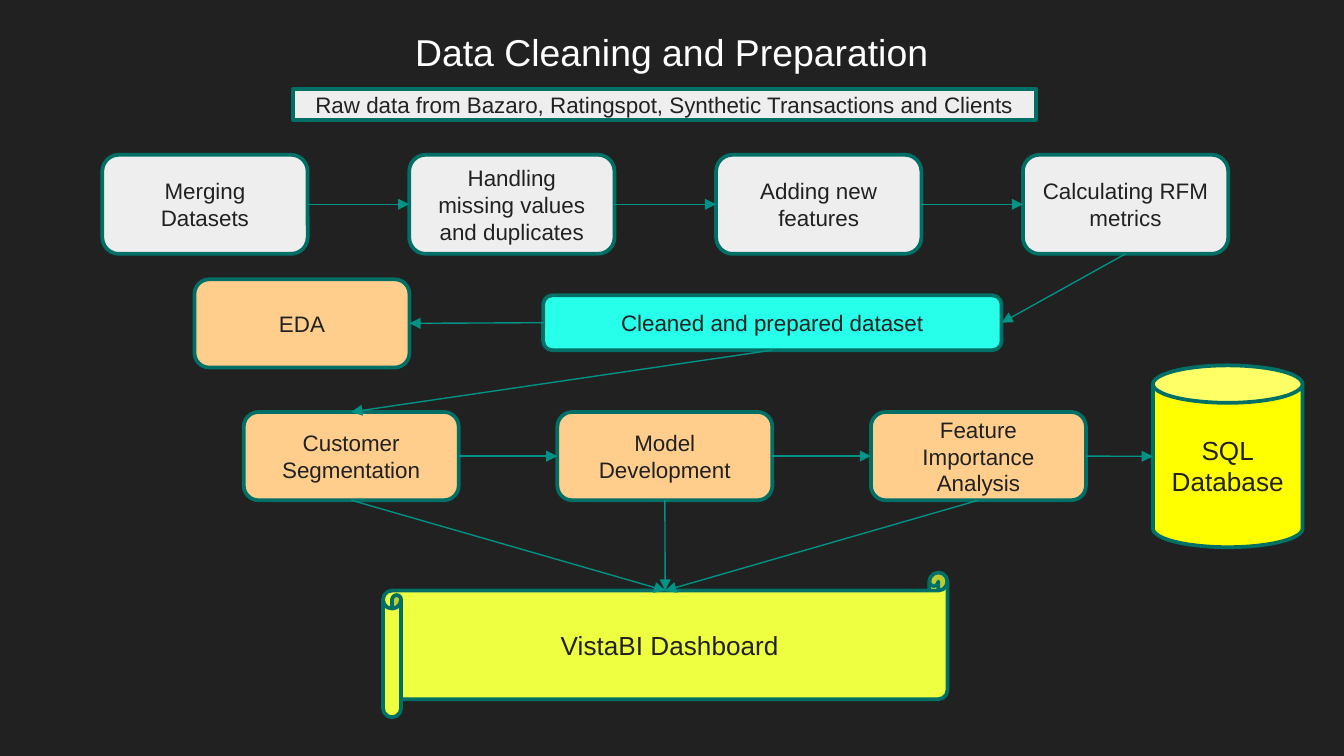
from lxml import etree
from pptx import Presentation
from pptx.dml.color import RGBColor
from pptx.enum.shapes import MSO_CONNECTOR, MSO_SHAPE
from pptx.enum.text import MSO_ANCHOR, PP_ALIGN
from pptx.oxml.ns import qn
from pptx.util import Pt

ROUNDED = MSO_SHAPE.ROUNDED_RECTANGLE
RECTANGLE = MSO_SHAPE.RECTANGLE
CAN = MSO_SHAPE.CAN
SCROLL = MSO_SHAPE.HORIZONTAL_SCROLL
STRAIGHT = MSO_CONNECTOR.STRAIGHT
CENTER = PP_ALIGN.CENTER
TOP, MIDDLE = MSO_ANCHOR.TOP, MSO_ANCHOR.MIDDLE

THEME = {
    "font": "Arial",
    "title_size": 20, "body_size": 12, "output_size": 14,
    "background": "212121", "title": "FFFFFF", "text": "212121",
    "outline": "006F65", "arrow": "009385",
    "input": "EEEEEE", "dataset": "27FFEB", "analysis": "FFCD8C",
    "database": "FFFF00", "dashboard": "EEFF41",
}

TITLE = "Data Cleaning and Preparation"
PREPARATION = [
    ("merge", "Merging\nDatasets"),
    ("clean", "Handling missing values and duplicates"),
    ("features", "Adding new features"),
    ("rfm", "Calculating RFM metrics"),
]
ANALYSIS = [
    ("segments", "Customer Segmentation"),
    ("model", "Model Development"),
    ("importance", "Feature Importance Analysis"),
]
SINGLES = [
    ("raw", "Raw data from Bazaro, Ratingspot, Synthetic Transactions and Clients",
     RECTANGLE, "input", "body_size", (157, 47.5, 398, 16.7)),
    ("dataset", "Cleaned and prepared dataset",
     ROUNDED, "dataset", "body_size", (291, 158.2, 245.6, 29.4)),
    ("eda", "EDA", ROUNDED, "analysis", "body_size", (104.2, 149.6, 115.2, 47.3)),
    ("database", "SQL\nDatabase", CAN, "database", "output_size", (617.6, 195.8, 80.2, 97.4)),
    ("dashboard", "VistaBI Dashboard",
     SCROLL, "dashboard", "output_size", (205.2, 306.7, 302.4, 77.6)),
]
ROWS = [
    (PREPARATION, "input", (54.8, 82.9, 110, 53.1), 164.4),
    (ANALYSIS, "analysis", (130.6, 220.7, 115.2, 47.3), 168),
]
ARROWS = [
    ("merge", "right", "clean", "left"),
    ("clean", "right", "features", "left"),
    ("features", "right", "rfm", "left"),
    ("rfm", "bottom", "dataset", "right"),
    ("dataset", "left", "eda", "right"),
    ("dataset", "bottom", "segments", "top"),
    ("segments", "right", "model", "left"),
    ("model", "right", "importance", "left"),
    ("importance", "right", "database", "left"),
    ("segments", "bottom", "dashboard", "top"),
    ("model", "bottom", "dashboard", "top"),
    ("importance", "bottom", "dashboard", "top"),
]
SITES = {"top": 0, "left": 1, "bottom": 2, "right": 3}
CAN_LEFT_SITE = 2
SCROLL_ROLL = 0.125


def color(name):
    return RGBColor.from_string(THEME[name])


def write(text_frame, text, size, text_color, anchor):
    text_frame.text = text
    text_frame.word_wrap = True
    text_frame.vertical_anchor = anchor
    for paragraph in text_frame.paragraphs:
        paragraph.alignment = CENTER
        for run in paragraph.runs:
            run.font.name = THEME["font"]
            run.font.size = Pt(THEME[size])
            run.font.color.rgb = color(text_color)


def add_box(slide, text, kind, fill, size, box):
    shape = slide.shapes.add_shape(kind, *map(Pt, box))
    shape.shadow.inherit = False
    shape.fill.solid()
    shape.fill.fore_color.rgb = color(fill)
    shape.line.color.rgb = color("outline")
    shape.line.width = Pt(2)
    write(shape.text_frame, text, size, "text", MIDDLE)
    return shape


def side_point(shape, side):
    middle_x = shape.left + shape.width // 2
    middle_y = shape.top + shape.height // 2
    top = shape.top
    if shape.auto_shape_type == SCROLL:
        top += int(min(shape.width, shape.height) * SCROLL_ROLL)
    return {
        "top": (middle_x, top),
        "left": (shape.left, middle_y),
        "bottom": (middle_x, shape.top + shape.height),
        "right": (shape.left + shape.width, middle_y),
    }[side]


def add_arrow(slide, source, source_side, target, target_side):
    start, end = side_point(source, source_side), side_point(target, target_side)
    connector = slide.shapes.add_connector(STRAIGHT, *start, *end)
    site = CAN_LEFT_SITE if target.auto_shape_type == CAN else SITES[target_side]
    connector.begin_connect(source, SITES[source_side])
    connector.end_connect(target, site)
    connector.end_x, connector.end_y = end
    connector.line.color.rgb = color("arrow")
    connector.line.width = Pt(0.75)
    properties = connector._element.spPr
    etree.SubElement(properties.find(qn("a:ln")), qn("a:tailEnd"), type="triangle")
    etree.SubElement(properties, qn("a:effectLst"))


def main():
    presentation = Presentation()
    presentation.slide_width, presentation.slide_height = Pt(720), Pt(405)
    slide = presentation.slides.add_slide(presentation.slide_layouts[5])
    slide.background.fill.solid()
    slide.background.fill.fore_color.rgb = color("background")

    title = slide.shapes.title
    title.left, title.top, title.width, title.height = map(Pt, (24.5, 8.6, 671, 45.4))
    frame = title.text_frame
    frame.margin_left = frame.margin_right = frame.margin_top = frame.margin_bottom = Pt(7.2)
    write(frame, TITLE, "title_size", "title", TOP)

    boxes = {}
    for steps, fill, (left, top, width, height), pitch in ROWS:
        for index, (key, text) in enumerate(steps):
            place = (left + index * pitch, top, width, height)
            boxes[key] = add_box(slide, text, ROUNDED, fill, "body_size", place)
    for key, *details in SINGLES:
        boxes[key] = add_box(slide, *details)

    for source, source_side, target, target_side in ARROWS:
        add_arrow(slide, boxes[source], source_side, boxes[target], target_side)

    presentation.save("out.pptx")


if __name__ == "__main__":
    main()
